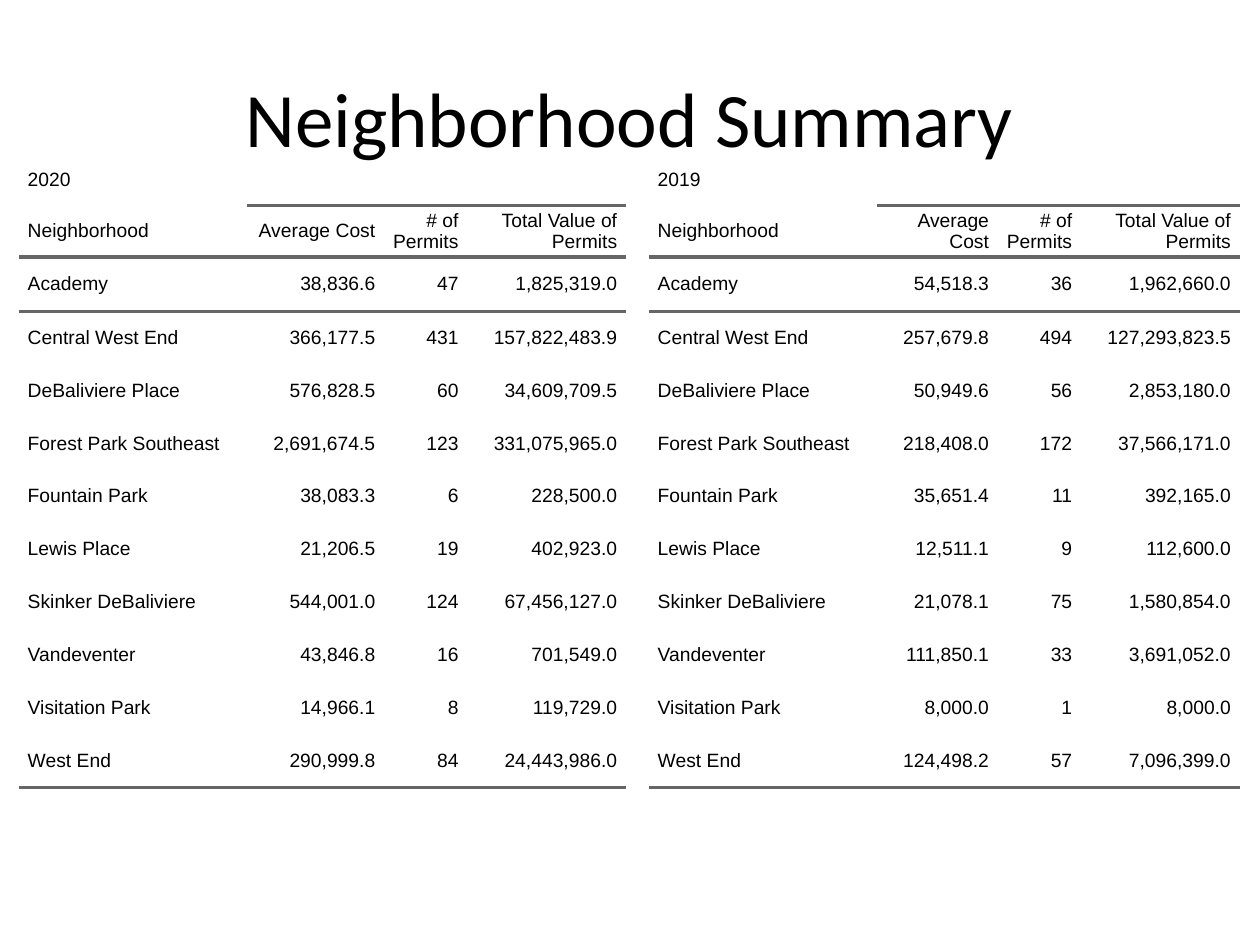
"""Build the Neighborhood Summary slide with permit tables for two years."""
from pptx import Presentation
from pptx.dml.color import RGBColor
from pptx.enum.text import MSO_ANCHOR as Anchor, PP_ALIGN as Align
from pptx.oxml.ns import qn
from pptx.util import Inches, Pt
from lxml.etree import SubElement

BLACK = RGBColor(0x00, 0x00, 0x00)
GREY = RGBColor(0x66, 0x66, 0x66)
PLAIN = "{2D5ABB26-0587-4C30-8999-92F81FD0307C}"
PAD = Inches(0.07)

HEADS = ("Neighborhood", "Average Cost", "# of Permits", "Total Value of Permits")
NAMES = ("Academy", "Central West End", "DeBaliviere Place", "Forest Park Southeast",
         "Fountain Park", "Lewis Place", "Skinker DeBaliviere", "Vandeventer",
         "Visitation Park", "West End")
YEARS = (
    ("2020", 0.15, 1.09, (
        ("38,836.6", "47", "1,825,319.0"),
        ("366,177.5", "431", "157,822,483.9"),
        ("576,828.5", "60", "34,609,709.5"),
        ("2,691,674.5", "123", "331,075,965.0"),
        ("38,083.3", "6", "228,500.0"),
        ("21,206.5", "19", "402,923.0"),
        ("544,001.0", "124", "67,456,127.0"),
        ("43,846.8", "16", "701,549.0"),
        ("14,966.1", "8", "119,729.0"),
        ("290,999.8", "84", "24,443,986.0"))),
    ("2019", 5.15, 0.96, (
        ("54,518.3", "36", "1,962,660.0"),
        ("257,679.8", "494", "127,293,823.5"),
        ("50,949.6", "56", "2,853,180.0"),
        ("218,408.0", "172", "37,566,171.0"),
        ("35,651.4", "11", "392,165.0"),
        ("12,511.1", "9", "112,600.0"),
        ("21,078.1", "75", "1,580,854.0"),
        ("111,850.1", "33", "3,691,052.0"),
        ("8,000.0", "1", "8,000.0"),
        ("124,498.2", "57", "7,096,399.0"))),
)


def write(frame, text, font="Arial", size=11, align=Align.LEFT, gap=0, pad=0):
    para = frame.paragraphs[0]
    para.alignment = align
    para.space_before = para.space_after = Pt(gap)
    props = para._p.get_or_add_pPr()
    for side in ("marL", "marR"):
        props.set(side, str(pad))
    props.set("indent", "0")
    run = para.add_run()
    run.text = text
    run.font.name, run.font.size = font, Pt(size)
    run.font.color.rgb = BLACK


def rule(cell, side):
    line = SubElement(cell._tc.get_or_add_tcPr(), qn(f"a:ln{side}"), w=str(Pt(2)))
    fill = SubElement(line, qn("a:solidFill"))
    SubElement(fill, qn("a:srgbClr"), val=str(GREY))


deck = Presentation()
deck.slide_width, deck.slide_height = Inches(10), Inches(7.5)
slide = deck.slides.add_slide(deck.slide_layouts[5])

title = slide.shapes.title
title.left, title.top = Inches(0.5), Inches(0.3)
title.width, title.height = Inches(9), Inches(1.25)
title.text_frame.vertical_anchor = Anchor.MIDDLE
write(title.text_frame, "Neighborhood Summary", font="Calibri", size=44, align=Align.CENTER)

for year, left, cost, stats in YEARS:
    rows = [(year,), HEADS] + [(name, *vals) for name, vals in zip(NAMES, stats)]
    widths = (1.81, cost, 0.66, 1.26)
    heights = [0.41, 0.41, 0.43] + [0.42] * (len(rows) - 3)
    table = slide.shapes.add_table(len(rows), len(widths), Inches(left), Inches(1.22),
                                   Inches(sum(widths)), Inches(sum(heights))).table
    table.first_row = table.horz_banding = False
    table._tbl.tblPr.find(qn("a:tableStyleId")).text = PLAIN
    for col, width in zip(table.columns, widths):
        col.width = Inches(width)
    for row, height in zip(table.rows, heights):
        row.height = Inches(height)
    table.cell(0, 0).merge(table.cell(0, len(widths) - 1))

    for r, row in enumerate(rows):
        for c, text in enumerate(row):
            cell = table.cell(r, c)
            cell.margin_left = cell.margin_right = 0
            cell.margin_top = cell.margin_bottom = 0
            cell.vertical_anchor = Anchor.MIDDLE
            write(cell.text_frame, text, align=Align.RIGHT if c else Align.LEFT,
                  gap=5, pad=PAD)
            if r == 2 or (r == 1 and c):
                rule(cell, "T")
            if r in (1, len(rows) - 1):
                rule(cell, "B")
            cell.fill.background()

deck.save("out.pptx")
